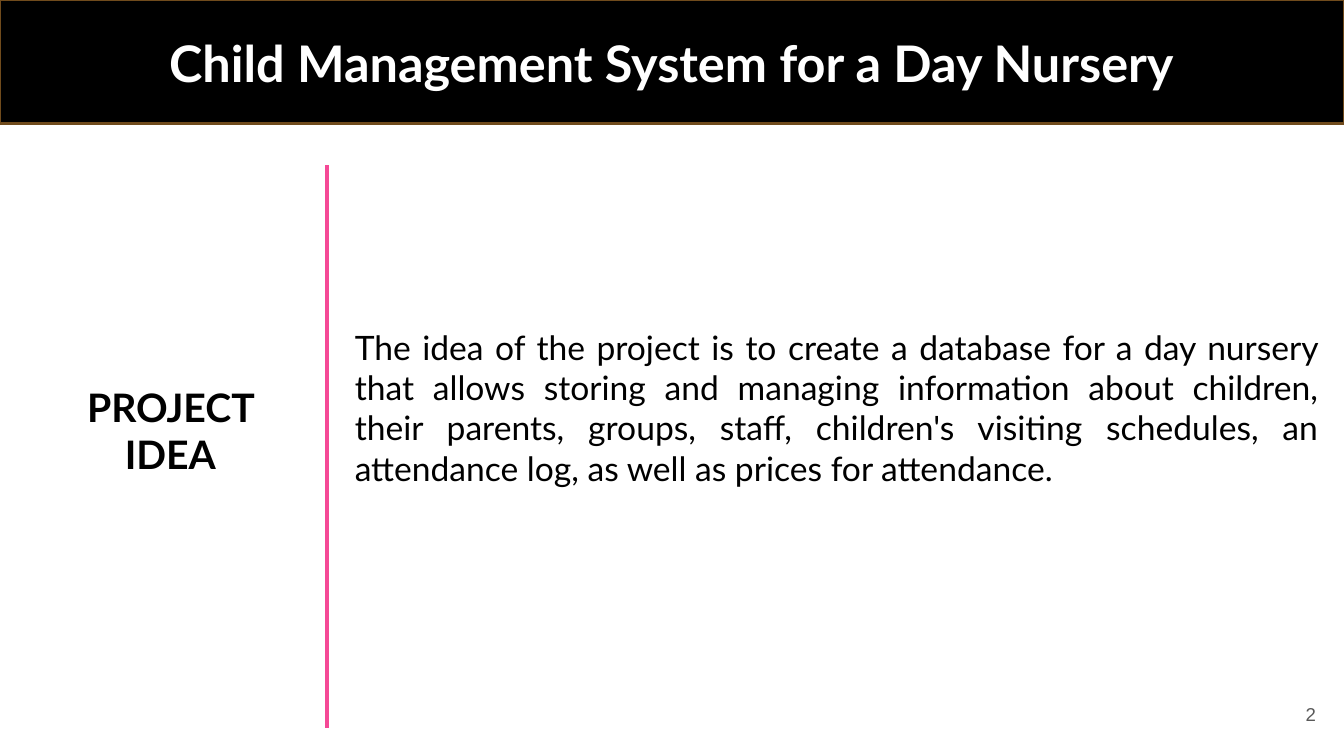
import pptx
import pptx.util
import pptx.dml.color
import pptx.enum.shapes
import pptx.enum.text
import pptx.oxml.xmlchemy

Inches = pptx.util.Inches
ALIGN = pptx.enum.text.PP_ALIGN
ANCHOR = pptx.enum.text.MSO_ANCHOR

WIDTH, HEIGHT = 13.33, 7.5
BAND_HEIGHT = 1.23
DIVIDER_X = 3.24


def color(hex_string):
    return pptx.dml.color.RGBColor.from_string(hex_string)


def write_text(shape, text, align, anchor, inset_y, font):
    frame = shape.text_frame
    frame_format = {
        "word_wrap": True,
        "auto_size": pptx.enum.text.MSO_AUTO_SIZE.NONE,
        "vertical_anchor": anchor,
        "margin_left": Inches(0.1),
        "margin_right": Inches(0.1),
        "margin_top": Inches(inset_y),
        "margin_bottom": Inches(inset_y),
    }
    for name, value in frame_format.items():
        setattr(frame, name, value)
    paragraph = frame.paragraphs[0]
    paragraph.alignment = align
    run = paragraph.add_run()
    run.text = text
    for name, value in font.items():
        if name == "color":
            run.font.color.rgb = color(value)
        else:
            setattr(run.font, name, value)


presentation = pptx.Presentation()
presentation.slide_width = Inches(WIDTH)
presentation.slide_height = Inches(HEIGHT)
slide = presentation.slides.add_slide(presentation.slide_layouts[5])

# Title on a black band
title = slide.shapes.title
title_box = {"left": 0.45, "top": 0, "width": 12.42, "height": BAND_HEIGHT}
for name, value in title_box.items():
    setattr(title, name, Inches(value))
write_text(title, "Child Management System for a Day Nursery", ALIGN.CENTER, ANCHOR.MIDDLE, 0.1,
           {"name": "Lato", "size": pptx.util.Pt(36), "bold": True, "color": "FFFFFF"})

band = slide.shapes.add_shape(pptx.enum.shapes.MSO_SHAPE.RECTANGLE,
                              0, 0, Inches(WIDTH), Inches(BAND_HEIGHT))
band.shadow.inherit = False
band.fill.solid()
band.fill.fore_color.rgb = color("000000")
band.line.color.rgb = color("704B1C")
band.line.width = pptx.util.Pt(2)
title.element.addprevious(band.element)  # the band lies behind the title

# Divider between heading and description
divider = slide.shapes.add_connector(pptx.enum.shapes.MSO_CONNECTOR.STRAIGHT,
                                     Inches(DIVIDER_X), Inches(1.64),
                                     Inches(DIVIDER_X), Inches(7.22))
divider.line.color.rgb = color("F54996")
divider.line.width = pptx.util.Pt(3)
divider.element.spPr.append(pptx.oxml.xmlchemy.OxmlElement("a:effectLst"))

# Heading, description and page number
description = (
    "The idea of the project is to create a database for a day nursery that allows "
    "storing and managing information about children, their parents, groups, staff, "
    "children's visiting schedules, an attendance log, as well as prices for attendance."
)
text_boxes = [
    ((0.31, 3.75, 2.76, 1.04), "PROJECT IDEA", ALIGN.CENTER, ANCHOR.TOP, 0.05,
     {"name": "Lato", "size": pptx.util.Pt(28), "bold": True, "color": "000000"}),
    ((3.42, 3.19, 9.75, 1.72), description, ALIGN.JUSTIFY, ANCHOR.TOP, 0.05,
     {"name": "Lato", "size": pptx.util.Pt(24), "color": "000000"}),
    ((12.35, 6.8, 0.8, 0.57), "2", ALIGN.RIGHT, ANCHOR.MIDDLE, 0.1,
     {"name": "Arial", "size": pptx.util.Pt(13.3), "color": "595959"}),
]
for box, *content in text_boxes:
    write_text(slide.shapes.add_textbox(*map(Inches, box)), *content)

presentation.save("out.pptx")
